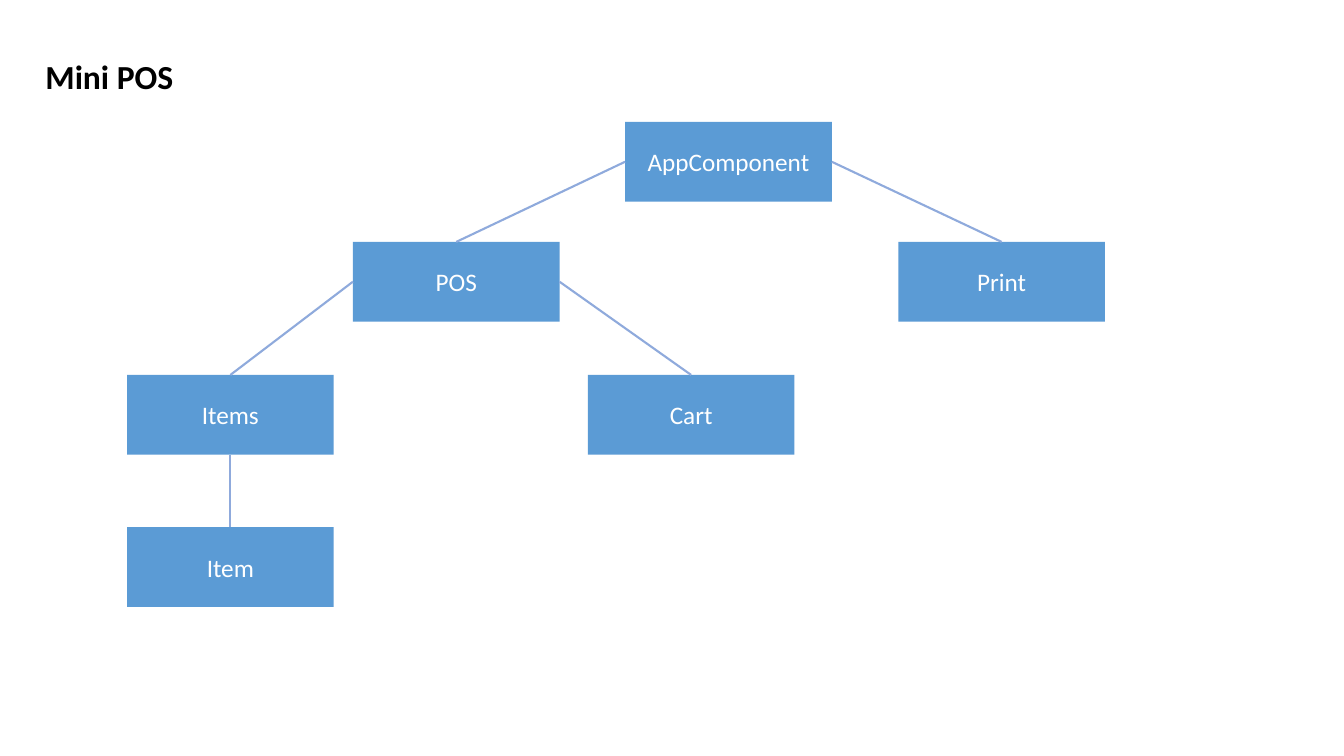
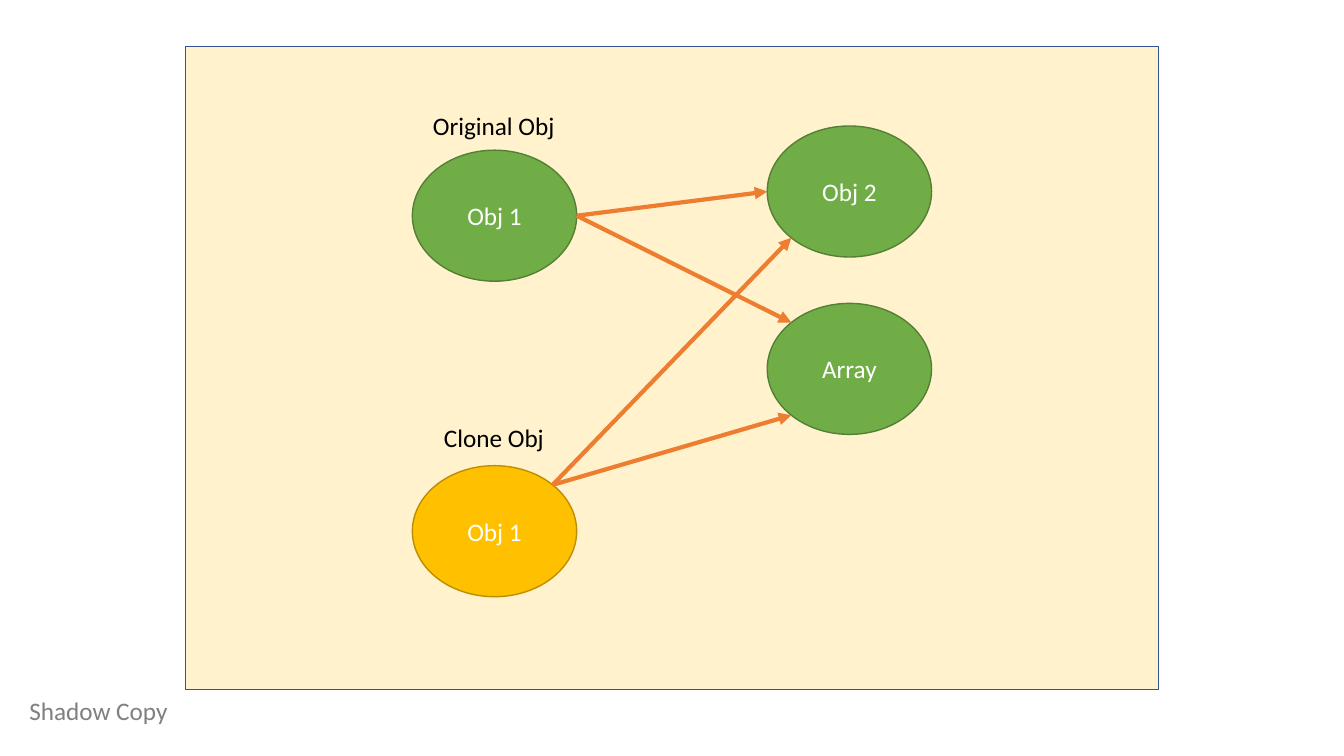
import pptx
import pptx.util
import pptx.dml.color
import pptx.enum.shapes
import pptx.enum.text
import pptx.oxml
import pptx.oxml.ns

RGB = pptx.dml.color.RGBColor
SHAPE = pptx.enum.shapes.MSO_SHAPE
ALIGN = pptx.enum.text.PP_ALIGN
ANCHOR = pptx.enum.text.MSO_ANCHOR
inch = pptx.util.Inches
point = pptx.util.Pt

WHITE = RGB(0xFF, 0xFF, 0xFF)
BLACK = RGB(0, 0, 0)
GRAY = RGB(0x80, 0x80, 0x80)
BLUE = RGB(0x5B, 0x9B, 0xD5)
PALE = RGB(0x8F, 0xAA, 0xDC)
NAVY = RGB(0x32, 0x54, 0x91)
CREAM = RGB(0xFF, 0xF2, 0xCC)
GREEN = RGB(0x70, 0xAD, 0x47)
MOSS = RGB(0x53, 0x80, 0x35)
GOLD = RGB(0xFF, 0xC0, 0x00)
BROWN = RGB(0xBD, 0x8E, 0x00)
ORANGE = RGB(0xED, 0x7D, 0x31)

TOP, LEFT, BOTTOM, RIGHT = range(4)
BOX = (2.05, 0.79)
ROWS = (1.21, 2.4, 3.72, 5.23)
BOXES = {
    "AppComponent": (6.2, 0),
    "POS": (3.5, 1),
    "Print": (8.91, 1),
    "Items": (1.26, 2),
    "Cart": (5.83, 2),
    "Item": (1.26, 3),
}
LINKS = [
    ("AppComponent", LEFT, "POS"),
    ("POS", LEFT, "Items"),
    ("Items", BOTTOM, "Item"),
    ("POS", RIGHT, "Cart"),
    ("AppComponent", RIGHT, "Print"),
]

OVAL = (1.63, 1.3)
COLS = (4.09, 7.61)
OVALS = {
    "source": ("Obj 1", 0, 1.49, GREEN, MOSS),
    "object": ("Obj 2", 1, 1.25, GREEN, MOSS),
    "array": ("Array", 1, 3.01, GREEN, MOSS),
    "clone": ("Obj 1", 0, 4.62, GOLD, BROWN),
}
DIAG = 0.5 ** 0.5
ARROWS = [
    ("source", (1, 0), "object", (-1, 0)),
    ("source", (1, 0), "array", (-DIAG, -DIAG)),
    ("clone", (DIAG, -DIAG), "object", (-DIAG, DIAG)),
    ("clone", (DIAG, -DIAG), "array", (-DIAG, DIAG)),
]
LABELS = [("Original Obj", 1.05, 1.42), ("Clone Obj", 4.14, 1.2)]


def write(shape, text, color, size=18, bold=False, align=ALIGN.LEFT,
          anchor=ANCHOR.TOP, wrap=True):
    frame = shape.text_frame
    frame.text = text
    para = frame.paragraphs[0]
    para.alignment = align
    for name, value in {"word_wrap": wrap, "vertical_anchor": anchor,
                        "auto_size": pptx.enum.text.MSO_AUTO_SIZE.NONE}.items():
        setattr(frame, name, value)
    font = para.runs[0].font
    for name, value in {"name": "Calibri", "size": point(size),
                        "bold": bold}.items():
        setattr(font, name, value)
    font.color.rgb = color


def place(slide, kind, area, fill, edge=None, text=None):
    shape = slide.shapes.add_shape(kind, *map(inch, area))
    shape.shadow.inherit = False
    shape.fill.solid()
    shape.fill.fore_color.rgb = fill
    if edge is None:
        shape.line.fill.background()
    else:
        shape.line.color.rgb = edge
        shape.line.width = point(1)
    if text:
        write(shape, text, WHITE, align=ALIGN.CENTER, anchor=ANCHOR.MIDDLE)
    return shape


def link(slide, color, width, start=(0, 0), end=(0, 0)):
    line = slide.shapes.add_connector(
        pptx.enum.shapes.MSO_CONNECTOR.STRAIGHT, *map(inch, start + end))
    line.line.color.rgb = color
    line.line.width = point(width)
    pptx.oxml.ns.qn
    line.element.spPr.append(pptx.oxml.parse_xml(
        "<a:effectLst %s/>" % pptx.oxml.ns.nsdecls("a")))
    return line


def start(deck, text, area, **style):
    slide = deck.slides.add_slide(deck.slide_layouts[5])
    title = slide.shapes.title
    title.left, title.top, title.width, title.height = map(inch, area)
    write(title, text, **style)
    return slide


def tree(deck):
    slide = start(deck, "Mini POS", (0.35, 0.5, 2.85, 0.5),
                  color=BLACK, size=24, bold=True)
    boxes = {}
    for name, (left, row) in BOXES.items():
        boxes[name] = place(slide, SHAPE.RECTANGLE, (left, ROWS[row], *BOX),
                            BLUE, text=name)
    for head, side, child in LINKS:
        line = link(slide, PALE, 1.5)
        line.begin_connect(boxes[head], side)
        line.end_connect(boxes[child], TOP)


def rim(name, way):
    text, col, top, fill, edge = OVALS[name]
    return tuple(base + size / 2 * (1 + part)
                 for base, size, part in zip((COLS[col], top), OVAL, way))


def graph(deck):
    slide = start(deck, "Shadow Copy", (0.19, 6.85, 1.79, 0.4), color=GRAY)
    title = slide.shapes.title
    title.fill.solid()
    title.fill.fore_color.rgb = WHITE
    panel = place(slide, SHAPE.RECTANGLE, (1.84, 0.46, 9.65, 6.38), CREAM, NAVY)
    panel.element.addnext(title.element)
    for text, col, top, fill, edge in OVALS.values():
        place(slide, SHAPE.OVAL, (COLS[col], top, *OVAL), fill, edge, text)
    for tail, leave, head, reach in ARROWS:
        line = link(slide, ORANGE, 3, rim(tail, leave), rim(head, reach))
        line.get_or_add_ln().append(pptx.oxml.parse_xml(
            '<a:tailEnd %s type="triangle"/>' % pptx.oxml.ns.nsdecls("a")))
    for text, top, width in LABELS:
        left = COLS[0] + (OVAL[0] - width) / 2
        label = slide.shapes.add_textbox(*map(inch, (left, top, width, 0.4)))
        write(label, text, BLACK, wrap=False)


def main():
    deck = pptx.Presentation()
    deck.slide_width, deck.slide_height = inch(13.33), inch(7.5)
    tree(deck)
    graph(deck)
    deck.save("out.pptx")


if __name__ == "__main__":
    main()
